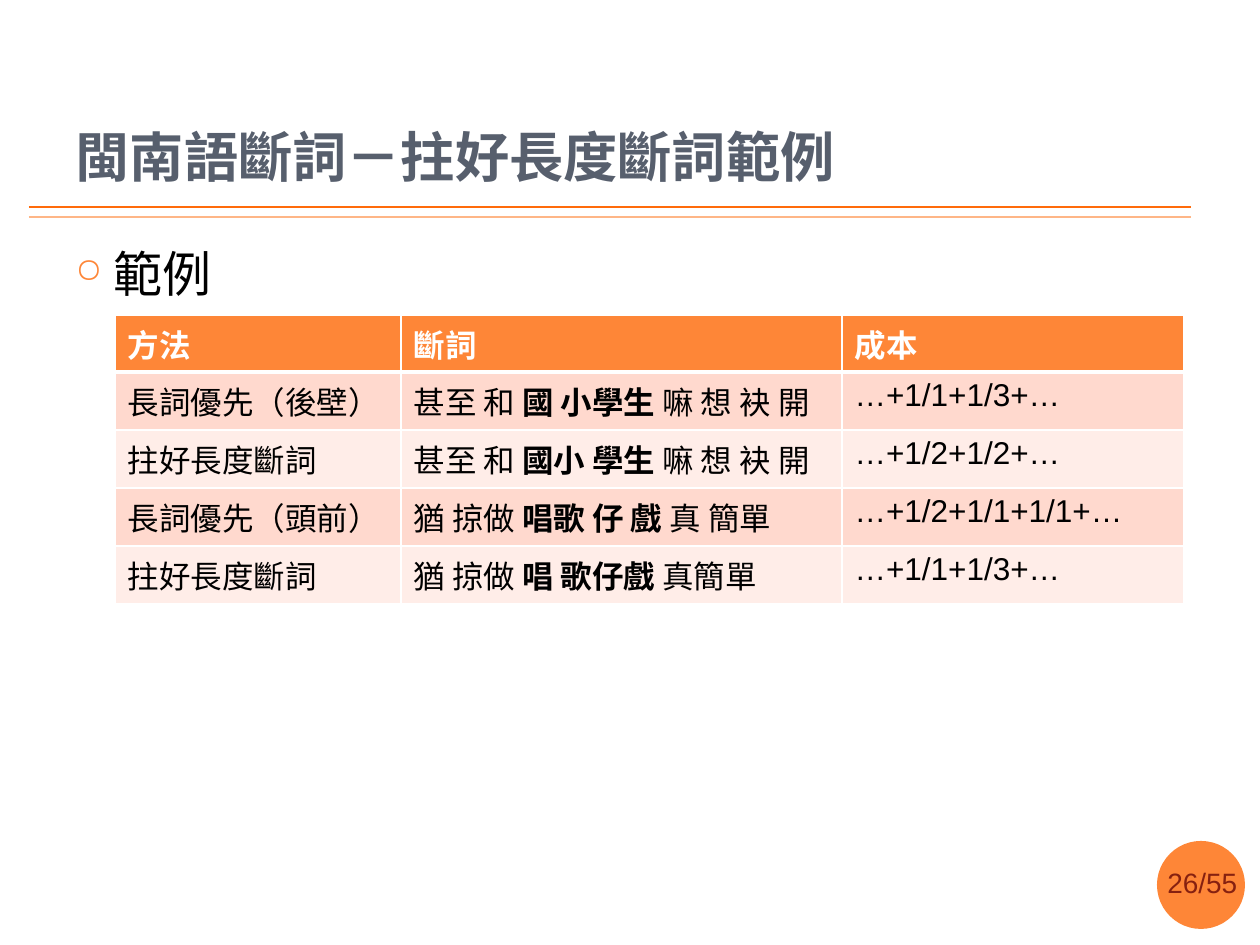
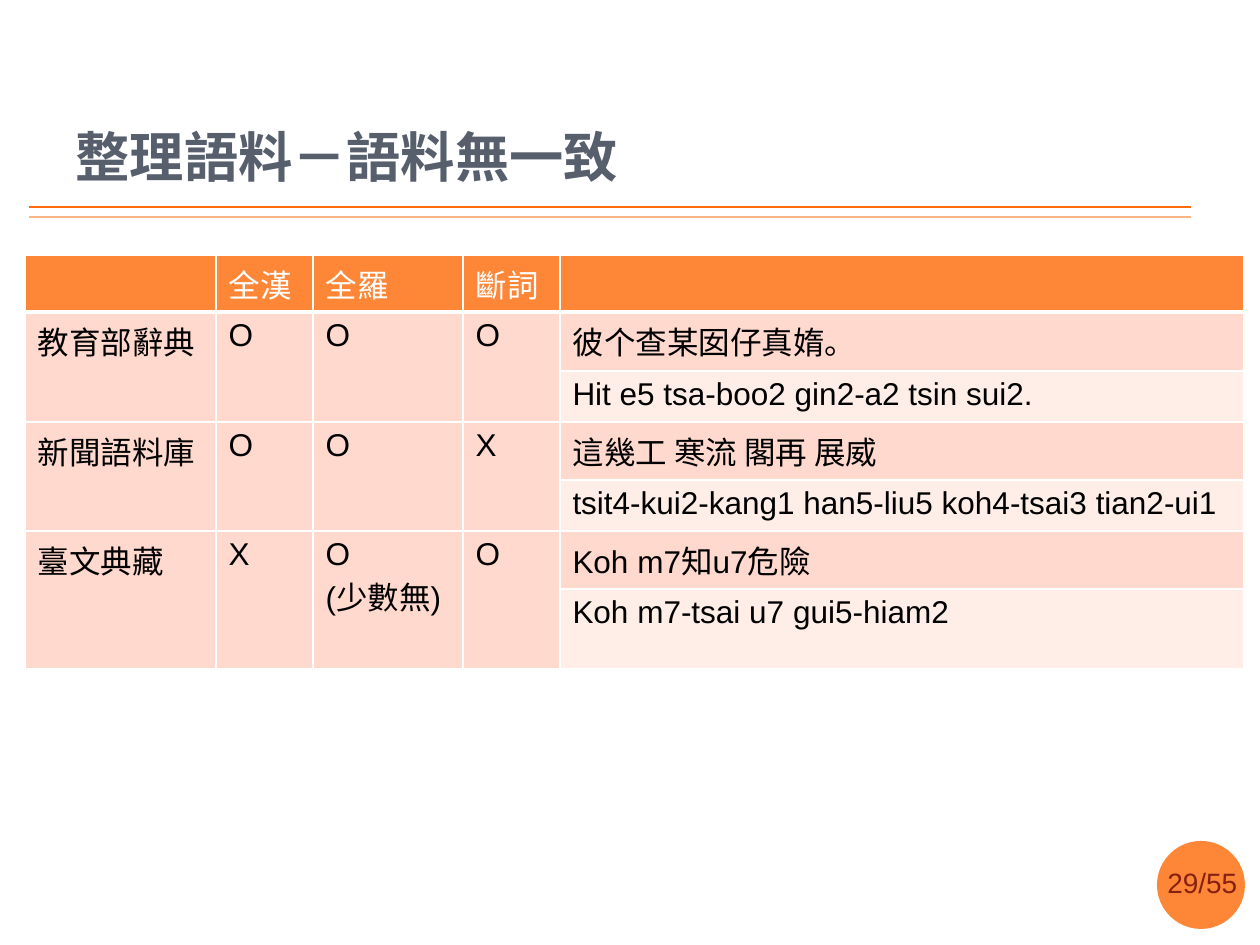
import pptx
import pptx.util
import pptx.dml.color
import pptx.enum.shapes
import pptx.enum.text
import pptx.oxml
import pptx.oxml.ns
from lxml import etree

# Content: *...* marks bold words, None continues the cell above
PAGES = 55
EXAMPLE = {
    "page": 26,
    "title": "閩南語斷詞－拄好長度斷詞範例",
    "bullet": "範例",
    "at": (115, 315),
    "cols": [286, 441, 342],
    "rows": [57, 58, 58, 58, 58],
    "cells": [
        ["*方法*", "*斷詞*", "*成本*"],
        ["長詞優先（後壁）", "甚至 和 *國 小學生* 嘛 想 袂 開", "…+1/1+1/3+…"],
        ["拄好長度斷詞", "甚至 和 *國小 學生* 嘛 想 袂 開", "…+1/2+1/2+…"],
        ["長詞優先（頭前）", "猶 掠做 *唱歌 仔 戲* 真 簡單", "…+1/2+1/1+1/1+…"],
        ["拄好長度斷詞", "猶 掠做 *唱 歌仔戲* 真簡單", "…+1/1+1/3+…"],
    ],
}
CORPORA = {
    "page": 29,
    "title": "整理語料－語料無一致",
    "at": (25, 255),
    "cols": [191, 97, 150, 97, 684],
    "rows": [57, 59, 51, 58, 51, 58, 80],
    "cells": [
        ["", "全漢", "全羅", "斷詞", ""],
        ["教育部辭典", "O", "O", "O", "彼个查某囡仔真媠。"],
        [None, None, None, None, "Hit e5 tsa-boo2 gin2-a2 tsin sui2."],
        ["新聞語料庫", "O", "O", "X", "這幾工 寒流 閣再 展威"],
        [None, None, None, None, "tsit4-kui2-kang1 han5-liu5 koh4-tsai3 tian2-ui1"],
        ["臺文典藏", "X", "O\n(少數無)", "O", "Koh m7知u7危險"],
        [None, None, None, None, "Koh m7-tsai u7 gui5-hiam2"],
    ],
}

# Shared style
ORANGE, WHITE, BLACK = "FE8637", "FFFFFF", "000000"
BANDS = ["FFEDE8", "FFD9CE"]
RULES = [(207, "FF6B0A"), (217, "FEB687")]
CJK = "Noto Sans CJK SC"


def px(n):
    return pptx.util.Emu(round(n * 914400 / 126))


def rgb(value):
    return pptx.dml.color.RGBColor.from_string(value)


def add_xml(parent, xml, index=None):
    ns = pptx.oxml.ns.nsdecls("a")
    el = pptx.oxml.parse_xml(xml.replace("/>", f" {ns}/>", 1) if xml.endswith("/>") and xml.count("<") == 1
                             else xml.replace(">", f" {ns}>", 1))
    parent.insert(len(parent) if index is None else index, el)


def style(r, size, color, font="Arial", bold=False):
    r.font.size = pptx.util.Pt(size)
    r.font.name = font
    r.font.bold = bold
    r.font.color.rgb = rgb(color)
    add_xml(r._r.get_or_add_rPr(), f'<a:ea typeface="{CJK}"/>')


def add_text(s, text, box, wrap=True):
    sp = s.shapes.add_textbox(*map(px, box))
    tf = sp.text_frame
    tf.word_wrap = wrap
    p = tf.paragraphs[0]
    p.text = text
    return p


# Title, double rule and page badge
def add_frame(s, title, page):
    for y, color in RULES:
        line = s.shapes.add_connector(pptx.enum.shapes.MSO_CONNECTOR.STRAIGHT,
                                      px(29), px(y), px(1191), px(y))
        line.line.color.rgb = rgb(color)
        line.line.width = pptx.util.Pt(1)
        add_xml(line._element.spPr, "<a:effectLst/>")

    badge = s.shapes.add_shape(pptx.enum.shapes.MSO_SHAPE.OVAL, px(1157), px(841), px(88), px(88))
    badge.shadow.inherit = False
    badge.fill.solid()
    badge.fill.fore_color.rgb = rgb(ORANGE)
    badge.line.fill.background()
    p = add_text(s, f"{page}/{PAGES}", (1155, 859, 100, 47), wrap=False)
    style(p.runs[0], 16, "862110")

    sp = s.shapes.title
    sp.left, sp.top, sp.width, sp.height = map(px, (63, 38, 1089, 157))
    tf = sp.text_frame
    tf.text = title
    tf.auto_size = pptx.enum.text.MSO_AUTO_SIZE.NONE
    tf.vertical_anchor = pptx.enum.text.MSO_ANCHOR.BOTTOM
    p = tf.paragraphs[0]
    p.alignment = pptx.enum.text.PP_ALIGN.LEFT
    style(p.runs[0], 31, "575F6D", "Montserrat", True)


def add_bullet(s, text):
    p = add_text(s, text, (63, 237, 1029, 655))
    p.space_before = pptx.util.Pt(6)
    style(p.runs[0], 28, BLACK, CJK)
    pPr = p._p.get_or_add_pPr()
    pPr.set("marL", str(px(38)))
    pPr.set("indent", str(px(-38)))
    add_xml(pPr, f'<a:buClr><a:srgbClr val="{ORANGE}"/></a:buClr>')
    add_xml(pPr, '<a:buSzPct val="70000"/>')
    add_xml(pPr, '<a:buChar char="○"/>')


def set_borders(cell, row):
    widths = {"L": 1, "R": 1, "T": 3 if row == 1 else 1, "B": 3 if row == 0 else 1}
    tcPr = cell._tc.get_or_add_tcPr()
    for i, (side, pt) in enumerate(widths.items()):
        add_xml(tcPr, f'<a:ln{side} w="{pptx.util.Pt(pt)}"><a:solidFill>'
                      f'<a:srgbClr val="{WHITE}"/></a:solidFill></a:ln{side}>', i)


def fill_cell(cell, text, color):
    tf = cell.text_frame
    for i, line in enumerate(text.split("\n")):
        p = tf.add_paragraph() if i else tf.paragraphs[0]
        for k, part in enumerate(line.split("*")):
            if part:
                r = p.add_run()
                r.text = part
                style(r, 18, color, bold=k % 2 == 1)


def add_grid(s, at, cols, rows, cells):
    frame = s.shapes.add_table(len(rows), len(cols), *map(px, (*at, sum(cols), sum(rows))))
    table = frame.table
    for col, width in zip(table.columns, cols):
        col.width = px(width)
    for row, height in zip(table.rows, rows):
        row.height = px(height)
    for i, texts in enumerate(cells):
        for j, text in enumerate(texts):
            cell = table.cell(i, j)
            cell.fill.solid()
            # A continued cell takes the band of the row it belongs to
            band = BANDS[(i - (text is None)) % 2]
            cell.fill.fore_color.rgb = rgb(band if i else ORANGE)
            set_borders(cell, i)
            if text is None:
                table.cell(i - 1, j).merge(cell)
            else:
                fill_cell(cell, text, BLACK if i else WHITE)


def main():
    prs = pptx.Presentation()
    prs.slide_width, prs.slide_height = px(1260), px(945)
    for page in (EXAMPLE, CORPORA):
        s = prs.slides.add_slide(prs.slide_layouts[5])
        add_frame(s, page["title"], page["page"])
        if "bullet" in page:
            add_bullet(s, page["bullet"])
        add_grid(s, page["at"], page["cols"], page["rows"], page["cells"])
    prs.save("out.pptx")


if __name__ == "__main__":
    main()
